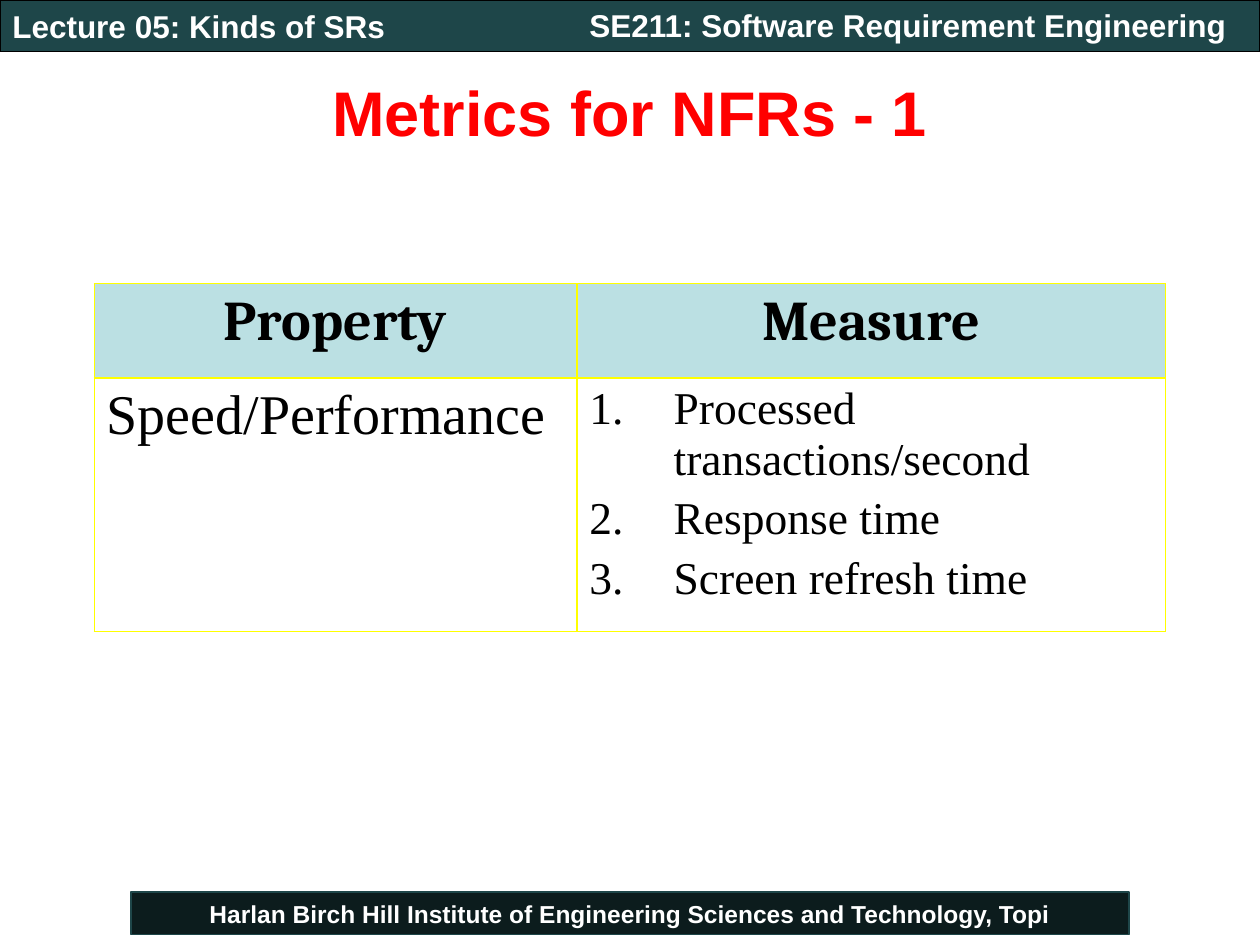
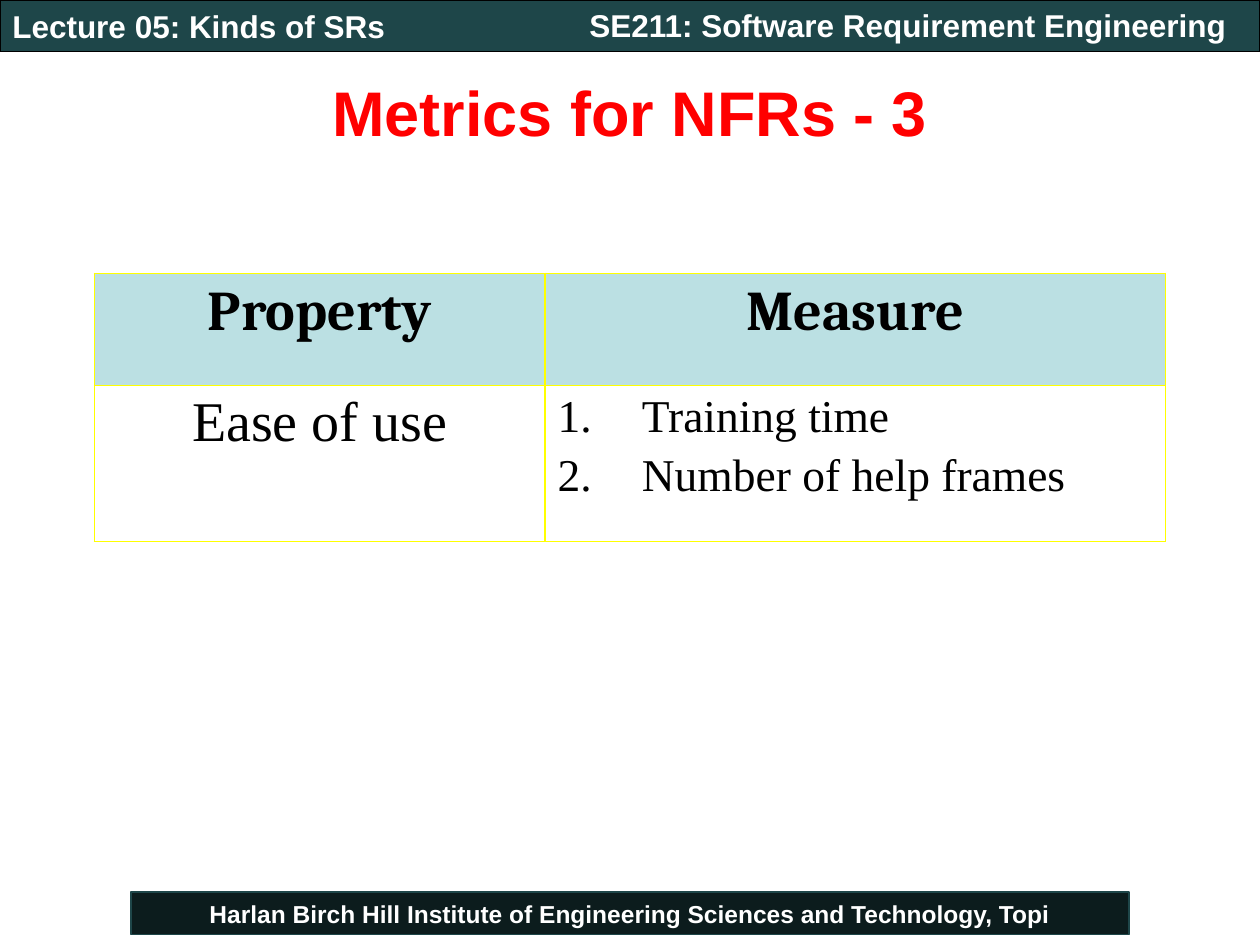
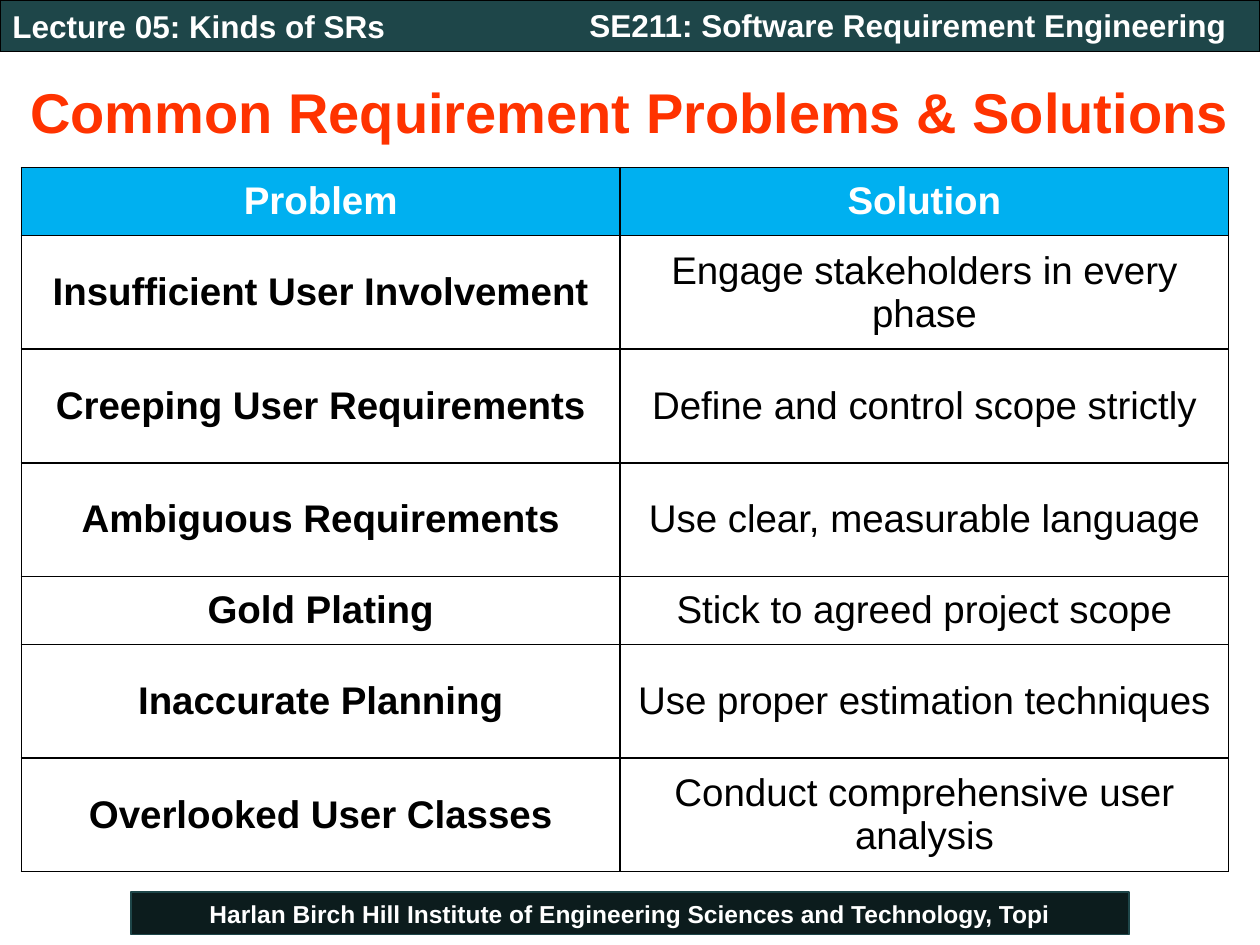
from dataclasses import dataclass
from typing import NamedTuple

from lxml import etree
from pptx import Presentation
from pptx import util as u
from pptx.dml.color import RGBColor
from pptx.enum import shapes, text
from pptx.oxml.ns import qn

LEFT, MID = text.PP_ALIGN.LEFT, text.PP_ALIGN.CENTER
TOP, HALF = text.MSO_ANCHOR.TOP, text.MSO_ANCHOR.MIDDLE


class Face(NamedTuple):
    font: str
    size: float
    color: str
    bold: bool = False
    align: text.PP_ALIGN = MID


class Theme:
    band, rim = "1E4649", "000000"
    foot, edge = "0C1C1D", "1E4649"
    pale, blue = "BBE0E3", "00B0F0"
    gold, black = "FFFF00", "000000"
    label = Face("Arial", 18, "FFFFFF", True, LEFT)
    school = Face("Arial", 14, "FFFFFF", True)
    red = Face("Arial", 36, "FF0000", True)
    coral = Face("Arial", 32, "FF3300", True)
    head = Face("Cambria", 32, black, True)
    trait = Face("Times New Roman", 32, black)
    metric = Face("Times New Roman", 26, black, False, LEFT)
    top = Face("Arial", 22, "FFFFFF", True)
    issue = Face("Arial", 22, black, True)
    remedy = Face("Arial", 22, black)


class Box(NamedTuple):
    left: float
    top: float
    width: float
    height: float

    def cm(self) -> list[u.Cm]:
        return [u.Cm(side) for side in self]


class Band(NamedTuple):
    words: str
    box: Box
    face: Face
    fill: str = ""
    line: str = ""
    indent: float = 0


@dataclass
class Look:
    """Formatting of a table: head cells, then one face per body column."""
    head: Face
    body: tuple[Face, Face]
    fill: str
    line: str
    anchor: text.MSO_ANCHOR = TOP
    pad: tuple[float, float] = (0.25, 0.13)
    gap: float = 0


@dataclass
class Page:
    title: str
    face: Face
    look: Look
    left: float
    top: float
    cols: tuple[float, float]
    rows: tuple[float, ...]
    data: list[tuple]


BANDS = [
    Band("Harlan Birch Hill Institute of Engineering Sciences and Technology, Topi",
         Box(2.64, 17.98, 20.12, 0.86), Theme.school, Theme.foot, Theme.edge),
    Band("Lecture 05: Kinds of SRs", Box(0, 0, 25.4, 1.04),
         Theme.label, Theme.band, Theme.rim),
    Band("SE211: Software Requirement Engineering", Box(9.09, 0, 16.31, 1.02),
         Theme.label, indent=2.54),
]
TITLE = Box(0, 1.07, 25.4, 2.34)
HANG = 1.7

METRIC = Look(Theme.head, (Theme.trait, Theme.metric), Theme.pale, Theme.gold, gap=0.2)
SPEED = Look(Theme.head, (Theme.trait._replace(align=LEFT), Theme.metric),
             Theme.pale, Theme.gold, gap=0.2)
ISSUE = Look(Theme.top, (Theme.issue, Theme.remedy), Theme.blue, Theme.black,
             HALF, (0.3, 0.15))
SHORT, TALL = 1.37, 2.29

PAGES = [
    Page("Metrics for NFRs - 1", Theme.red, SPEED, 1.9, 5.72, (9.73, 11.86), (1.9, 5.11), [
        ("Property", "Measure"),
        ("Speed/Performance", ["Processed transactions/second", "Response time",
                               "Screen refresh time"]),
    ]),
    Page("Metrics for NFRs - 3", Theme.red, METRIC, 1.9, 5.51, (9.09, 12.5), (2.26, 3.15), [
        ("Property", "Measure"),
        ("Ease of use", ["Training time", "Number of help frames"]),
    ]),
    Page("Common Requirement Problems & Solutions", Theme.coral, ISSUE, 0.43, 3.38,
         (12.07, 12.27), (SHORT, TALL, TALL, TALL, SHORT, TALL, TALL), [
             ("Problem", "Solution"),
             ("Insufficient User Involvement", "Engage stakeholders in every phase"),
             ("Creeping User Requirements", "Define and control scope strictly"),
             ("Ambiguous Requirements", "Use clear, measurable language"),
             ("Gold Plating", "Stick to agreed project scope"),
             ("Inaccurate Planning", "Use proper estimation techniques"),
             ("Overlooked User Classes", "Conduct comprehensive user analysis"),
         ]),
]


def write(para, words: str, face: Face) -> None:
    para.alignment = face.align
    run = para.add_run()
    run.text = words
    font = run.font
    font.name, font.size, font.bold = face.font, u.Pt(face.size), face.bold
    font.color.rgb = RGBColor.from_string(face.color)


def indent(para, margin: float, first: float = 0) -> None:
    props = para._p.get_or_add_pPr()
    props.set("marL", str(u.Cm(margin)))
    props.set("indent", str(u.Cm(first)))


def number(para) -> None:
    indent(para, HANG, -HANG)
    props = para._p.get_or_add_pPr()
    etree.SubElement(props, qn("a:buFont"), typeface="+mj-lt")
    etree.SubElement(props, qn("a:buAutoNum"), type="arabicPeriod")


def frame(cell, color: str) -> None:
    """Draw a line on all four sides of a cell."""
    props = cell._tc.get_or_add_tcPr()
    for side in ("lnL", "lnR", "lnT", "lnB"):
        line = etree.SubElement(props, qn(f"a:{side}"), w=str(u.Pt(1)))
        fill = etree.SubElement(line, qn("a:solidFill"))
        etree.SubElement(fill, qn("a:srgbClr"), val=color)


def add_band(slide, band: Band) -> None:
    if band.fill:
        shape = slide.shapes.add_shape(shapes.MSO_SHAPE.RECTANGLE, *band.box.cm())
        shape.shadow.inherit = False
        shape.fill.solid()
        shape.fill.fore_color.rgb = RGBColor.from_string(band.fill)
        shape.line.color.rgb = RGBColor.from_string(band.line)
        shape.line.width = u.Pt(0.75)
    else:
        shape = slide.shapes.add_textbox(*band.box.cm())
    body = shape.text_frame
    body.word_wrap = True
    body.vertical_anchor = HALF
    para = body.paragraphs[0]
    if band.indent:
        indent(para, band.indent)
    write(para, band.words, band.face)


def add_title(slide, page: Page) -> None:
    title = slide.shapes.title
    title.left, title.top, title.width, title.height = TITLE.cm()
    body = title.text_frame
    body.auto_size = text.MSO_AUTO_SIZE.NONE
    body.vertical_anchor = HALF
    write(body.paragraphs[0], page.title, page.face)


def fill_cell(cell, words: str | list[str], face: Face, look: Look, fill: str) -> None:
    frame(cell, look.line)
    if fill:
        cell.fill.solid()
        cell.fill.fore_color.rgb = RGBColor.from_string(fill)
    else:
        cell.fill.background()
    cell.vertical_anchor = look.anchor
    side, edge = (u.Cm(pad) for pad in look.pad)
    cell.margin_left = cell.margin_right = side
    cell.margin_top = cell.margin_bottom = edge
    listed = isinstance(words, list)
    body = cell.text_frame
    for i, item in enumerate(words if listed else [words]):
        para = body.add_paragraph() if i else body.paragraphs[0]
        para.space_before = u.Pt(face.size * look.gap)
        if listed:
            number(para)
        write(para, item, face)


def add_grid(slide, page: Page) -> None:
    box = Box(page.left, page.top, sum(page.cols), sum(page.rows))
    table = slide.shapes.add_table(len(page.rows), len(page.cols), *box.cm()).table
    table.first_row = table.horz_banding = False
    for col, width in zip(table.columns, page.cols):
        col.width = u.Cm(width)
    look = page.look
    for r, (row, height) in enumerate(zip(table.rows, page.rows)):
        row.height = u.Cm(height)
        faces = look.body if r else (look.head, look.head)
        for cell, words, face in zip(row.cells, page.data[r], faces):
            fill_cell(cell, words, face, look, "" if r else look.fill)


def main() -> None:
    deck = Presentation()
    deck.slide_width, deck.slide_height = u.Cm(25.4), u.Cm(19.05)
    for page in PAGES:
        slide = deck.slides.add_slide(deck.slide_layouts.get_by_name("Title Only"))
        for band in BANDS:
            add_band(slide, band)
        add_title(slide, page)
        add_grid(slide, page)
    deck.save("out.pptx")


if __name__ == "__main__":
    main()
